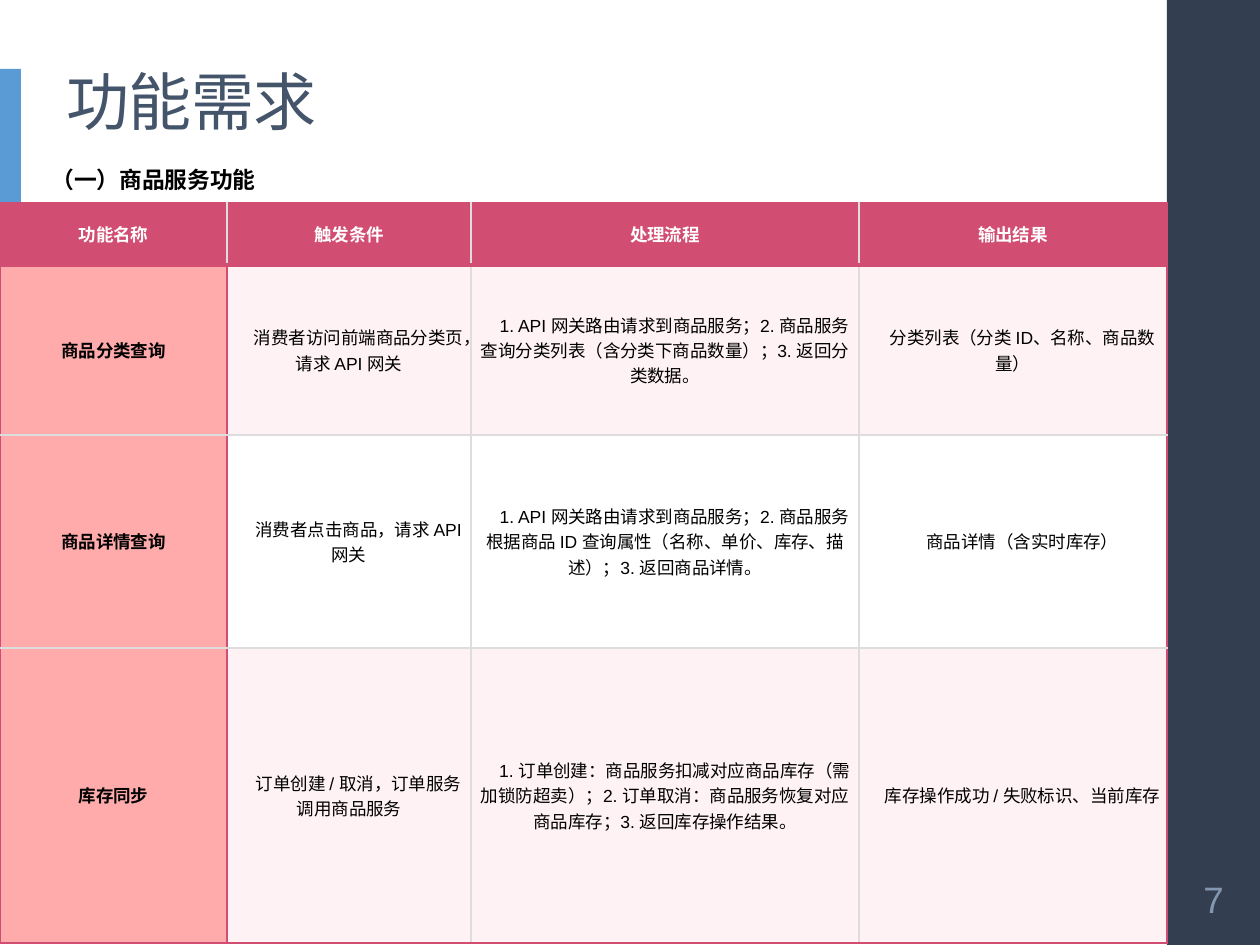
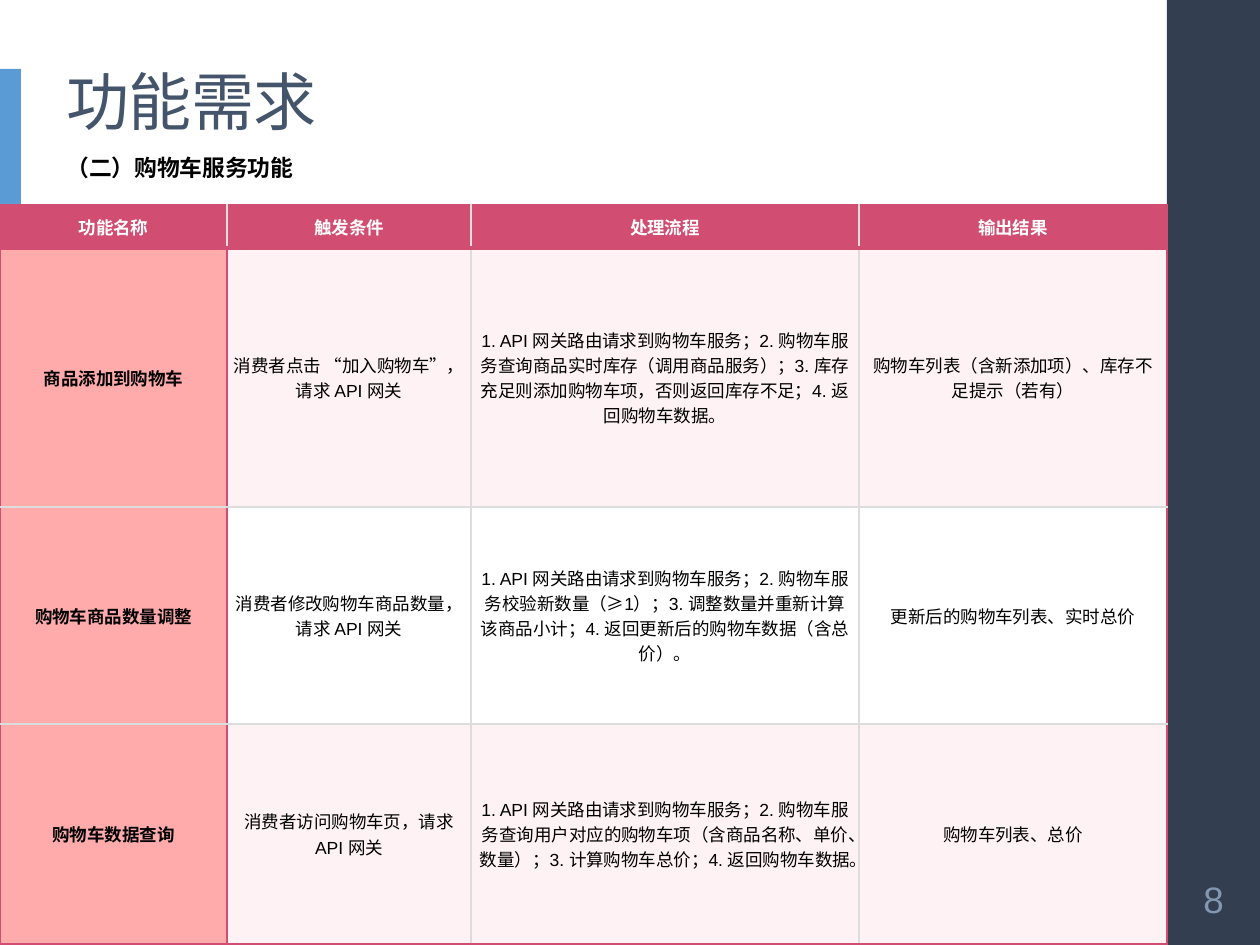
from dataclasses import dataclass

import pptx
import pptx.dml.color
import pptx.enum.lang
import pptx.enum.shapes
import pptx.enum.text
import pptx.oxml
import pptx.oxml.ns
import pptx.util

EMU_PER_PX = 914400 / 126
SLIDE_W, SLIDE_H = 1260, 945
PANEL_X = 1167
PARAGRAPH_INDENT = 19


@dataclass(frozen=True)
class Theme:
    font: str = "Arial"
    panel: str = "333F50"
    accent: str = "5B9BD5"
    title: str = "44546A"
    number: str = "8497B0"
    ink: str = "000000"
    white: str = "FFFFFF"
    rose: str = "D14D72"
    pink: str = "FFABAB"
    blush: str = "FEF2F4"
    grid: str = "DDDDDD"
    title_size: int = 36
    number_size: int = 21
    subtitle_size: int = 13
    cell_size: int = 10


THEME = Theme()
ALIGN = pptx.enum.text.PP_ALIGN
ANCHOR = pptx.enum.text.MSO_ANCHOR
AUTO = pptx.enum.text.MSO_AUTO_SIZE


def px(length):
    return pptx.util.Emu(round(length * EMU_PER_PX))


def rgb(value):
    return pptx.dml.color.RGBColor.from_string(value)


def apply(target, formats):
    for name, value in formats.items():
        setattr(target, name, value)


def write(frame, text, size, color, bold=False, align=ALIGN.LEFT, indent=0):
    """Put one formatted paragraph in a text frame and return it."""
    paragraph = frame.paragraphs[0]
    paragraph.alignment = align
    if indent:
        properties = paragraph._p.get_or_add_pPr()
        properties.set("marL", "0")
        properties.set("indent", str(px(indent)))
    run = paragraph.add_run()
    run.text = text
    apply(run.font, {
        "name": THEME.font,
        "size": pptx.util.Pt(size),
        "bold": bold,
        "language_id": pptx.enum.lang.MSO_LANGUAGE_ID.SIMPLIFIED_CHINESE,
    })
    run.font.color.rgb = rgb(color)
    return paragraph


def add_block(slide, box, color):
    block = slide.shapes.add_shape(
        pptx.enum.shapes.MSO_SHAPE.RECTANGLE, *map(px, box))
    block.shadow.inherit = False
    block.fill.solid()
    block.fill.fore_color.rgb = rgb(color)
    block.line.fill.background()


def add_side_panel(slide, box, number):
    """Dark panel with the page number near its foot."""
    left, top, width, height = box
    add_block(slide, box, THEME.panel)
    page = slide.shapes.add_textbox(
        *map(px, (left, top + height - 87, width, 82)))
    frame = page.text_frame
    margins = ("margin_left", "margin_top", "margin_right", "margin_bottom")
    apply(frame, {"word_wrap": True, "vertical_anchor": ANCHOR.MIDDLE,
                  **dict.fromkeys(margins, px(6))})
    write(frame, str(number), THEME.number_size, THEME.number,
          align=ALIGN.CENTER)


def add_heading(slide, box, text):
    """Accent bar at the left edge, and the slide title."""
    left, top, width, height = box
    add_block(slide, (left, top - 2, 21, height + 1), THEME.accent)
    title = slide.shapes.title
    apply(title, dict(zip(("left", "top", "width", "height"),
                          map(px, (left + 54, top, width - 54, height)))))
    apply(title.text_frame, {"word_wrap": True, "auto_size": AUTO.NONE,
                             "vertical_anchor": ANCHOR.TOP})
    heading = write(title.text_frame, text, THEME.title_size, THEME.title)
    heading.line_spacing = 0.8
    heading.runs[0].font._element.set("spc", "-40")


def add_subtitle(slide, box, text, wrap, indent):
    subtitle = slide.shapes.add_textbox(*map(px, box))
    apply(subtitle.text_frame, {"word_wrap": wrap,
                                "auto_size": AUTO.SHAPE_TO_FIT_TEXT,
                                "vertical_anchor": ANCHOR.MIDDLE})
    write(subtitle.text_frame, text, THEME.subtitle_size, THEME.ink,
          bold=True, indent=indent)


def add_border(cell, side, color, points):
    line = pptx.oxml.parse_xml(
        f'<a:{side} {pptx.oxml.ns.nsdecls("a")} w="{pptx.util.Pt(points)}">'
        f'<a:solidFill><a:srgbClr val="{color}"/></a:solidFill></a:{side}>')
    cell._tc.get_or_add_tcPr().append(line)


def row_rule(edge, row_count):
    """Colour and weight of the horizontal rule above row number edge."""
    if edge == 1:
        return THEME.rose, 3
    return (THEME.rose if edge in (0, row_count) else THEME.grid), 1


def column_rule(edge, row, column_count):
    """Colour and weight of the vertical rule left of column number edge."""
    framed = edge in (0, column_count) or (edge == 1 and row > 0)
    return (THEME.rose if framed else THEME.grid), 1


def cell_fill(row, column):
    if row == 0:
        return THEME.rose
    if column == 0:
        return THEME.pink
    return THEME.blush if row % 2 else THEME.white


def add_function_table(slide, left, top, widths, heights, rows, indent):
    shape = slide.shapes.add_table(
        len(rows), len(widths),
        *map(px, (left, top, sum(widths), sum(heights))))
    table = shape.table
    apply(table, {"first_row": False, "horz_banding": False})
    for column, width in zip(table.columns, widths):
        column.width = px(width)
    for row, height in zip(table.rows, heights):
        row.height = px(height)
    margins = ("margin_left", "margin_top", "margin_right", "margin_bottom")
    for r, texts in enumerate(rows):
        for c, text in enumerate(texts):
            cell = table.cell(r, c)
            apply(cell, {"vertical_anchor": ANCHOR.MIDDLE,
                         **dict.fromkeys(margins, px(6))})
            add_border(cell, "lnL", *column_rule(c, r, len(widths)))
            add_border(cell, "lnR", *column_rule(c + 1, r, len(widths)))
            add_border(cell, "lnT", *row_rule(r, len(rows)))
            add_border(cell, "lnB", *row_rule(r + 1, len(rows)))
            cell.fill.solid()
            cell.fill.fore_color.rgb = rgb(cell_fill(r, c))
            label = r == 0 or c == 0
            write(cell.text_frame, text, THEME.cell_size,
                  THEME.ink if r else THEME.white, bold=label,
                  align=ALIGN.CENTER, indent=0 if label else indent)


HEADER = ("功能名称", "触发条件", "处理流程", "输出结果")
COLUMN_WIDTHS = (227, 244, 388, 308)

PAGES = [
    {
        "number": 7,
        "subtitle": {"text": "（一）商品服务功能", "box": (20, 159, 258, 40),
                     "wrap": False, "indent": PARAGRAPH_INDENT},
        "table": {
            "top": 203,
            "heights": (62, 170, 213, 295),
            "indent": PARAGRAPH_INDENT,
            "rows": [
                HEADER,
                ("商品分类查询",
                 "消费者访问前端商品分类页，请求 API 网关",
                 "1. API 网关路由请求到商品服务；2. 商品服务查询分类列表"
                 "（含分类下商品数量）；3. 返回分类数据。",
                 "分类列表（分类 ID、名称、商品数量）"),
                ("商品详情查询",
                 "消费者点击商品，请求 API 网关",
                 "1. API 网关路由请求到商品服务；2. 商品服务根据商品 ID "
                 "查询属性（名称、单价、库存、描述）；3. 返回商品详情。",
                 "商品详情（含实时库存）"),
                ("库存同步",
                 "订单创建 / 取消，订单服务调用商品服务",
                 "1. 订单创建：商品服务扣减对应商品库存（需加锁防超卖）；"
                 "2. 订单取消：商品服务恢复对应商品库存；3. 返回库存操作结果。",
                 "库存操作成功 / 失败标识、当前库存"),
            ],
        },
    },
    {
        "number": 8,
        "subtitle": {"text": "（二）购物车服务功能", "box": (54, 147, 1522, 40),
                     "wrap": True, "indent": 0},
        "table": {
            "top": 205,
            "heights": (43, 259, 217, 220),
            "indent": 0,
            "rows": [
                HEADER,
                ("商品添加到购物车",
                 "消费者点击 “加入购物车”，请求 API 网关",
                 "1. API 网关路由请求到购物车服务；2. 购物车服务查询商品实时库存"
                 "（调用商品服务）；3. 库存充足则添加购物车项，否则返回库存不足；"
                 "4. 返回购物车数据。",
                 "购物车列表（含新添加项）、库存不足提示（若有）"),
                ("购物车商品数量调整",
                 "消费者修改购物车商品数量，请求 API 网关",
                 "1. API 网关路由请求到购物车服务；2. 购物车服务校验新数量（≥1）；"
                 "3. 调整数量并重新计算该商品小计；"
                 "4. 返回更新后的购物车数据（含总价）。",
                 "更新后的购物车列表、实时总价"),
                ("购物车数据查询",
                 "消费者访问购物车页，请求 API 网关",
                 "1. API 网关路由请求到购物车服务；2. 购物车服务查询用户对应的"
                 "购物车项（含商品名称、单价、数量）；3. 计算购物车总价；"
                 "4. 返回购物车数据。",
                 "购物车列表、总价"),
            ],
        },
    },
]


def add_function_slide(deck, page):
    slide = deck.slides.add_slide(deck.slide_layouts.get_by_name("Title Only"))
    add_side_panel(slide, (PANEL_X, 0, SLIDE_W - PANEL_X, SLIDE_H),
                   page["number"])
    add_heading(slide, (0, 71, 1121, 135), "功能需求")
    add_function_table(slide, left=0, widths=COLUMN_WIDTHS, **page["table"])
    add_subtitle(slide, **page["subtitle"])


def main():
    deck = pptx.Presentation()
    apply(deck, {"slide_width": px(SLIDE_W), "slide_height": px(SLIDE_H)})
    for page in PAGES:
        add_function_slide(deck, page)
    deck.save("out.pptx")


if __name__ == "__main__":
    main()
